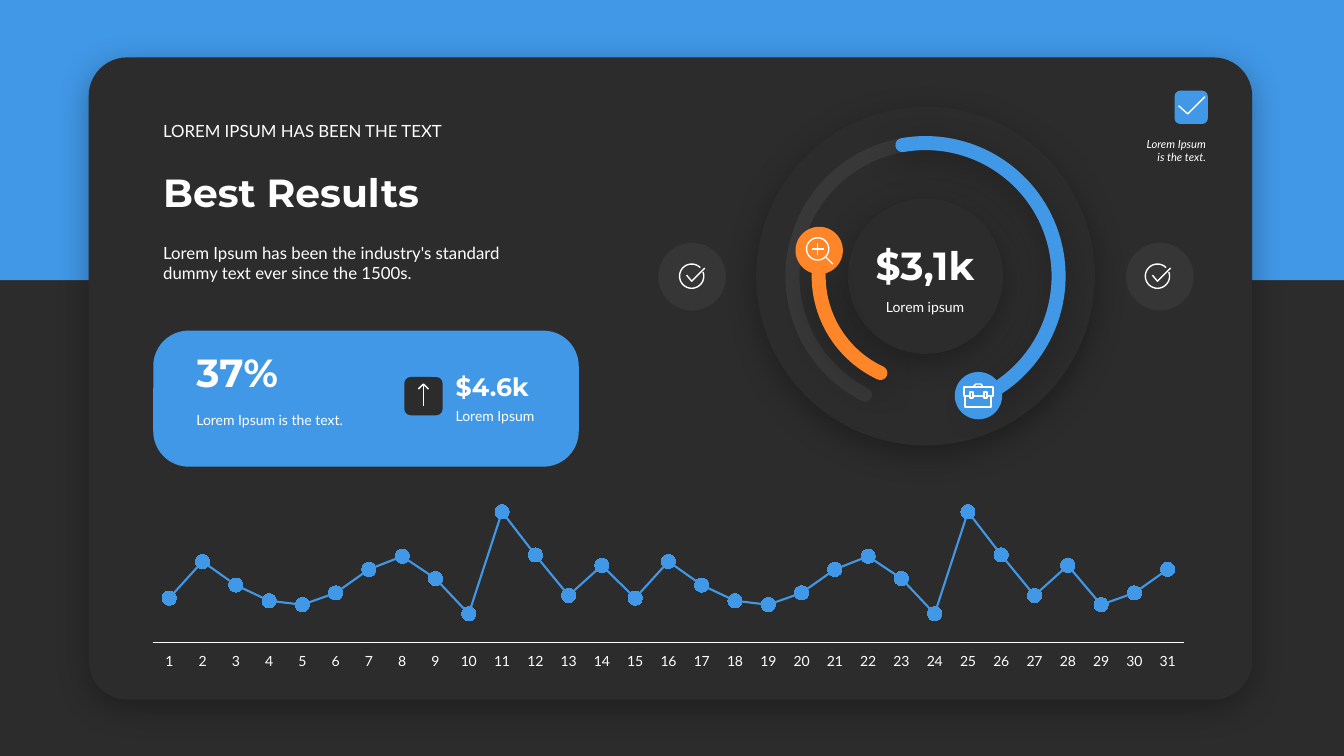
"""Build a dark KPI dashboard slide with a radial gauge and a daily line chart."""
from math import cos, radians, sin

from lxml.etree import SubElement
from pptx import Presentation
from pptx.chart.data import CategoryChartData
from pptx.dml.color import RGBColor as RGB
from pptx.enum.chart import XL_CHART_TYPE as CT, XL_MARKER_STYLE as MARK
from pptx.enum.chart import XL_TICK_LABEL_POSITION as LABELS, XL_TICK_MARK as TICK
from pptx.enum.shapes import MSO_SHAPE as SHAPE
from pptx.enum.text import MSO_ANCHOR as ANCHOR, PP_ALIGN as ALIGN
from pptx.oxml.ns import qn
from pptx.util import Inches, Pt

THEME = {
    "dark": "2C2C2C", "blue": "4198E7", "orange": "FF8529", "white": "FFFFFF", "black": "000000",
    "body": "Lato", "head": "Montserrat",
    "big": 28, "mid": 18, "text": 12, "small": 10, "tiny": 8,
    "arc": 10, "stroke": 1, "axis": 0.75, "series": 1.5, "marker": 10,
}

PANELS = [
    (SHAPE.RECTANGLE, (0, 0, 13.33, 2.78), "blue", {}),
    (SHAPE.ROUNDED_RECTANGLE, (0.88, 0.57, 11.54, 6.37), "dark", {"radius": 0.06, "shadow": True}),
    (SHAPE.ROUNDED_RECTANGLE, (1.52, 3.28, 4.22, 1.35), "blue", {"radius": 0.26}),
    (SHAPE.ROUNDED_RECTANGLE, (4.01, 3.74, 0.38, 0.38), "dark", {}),
    (SHAPE.ROUNDED_RECTANGLE, (11.65, 0.9, 0.33, 0.33), "blue", {}),
    (SHAPE.OVAL, (6.53, 2.41, 0.67, 0.67), "white", {"alpha": 5}),
    (SHAPE.OVAL, (11.17, 2.41, 0.67, 0.67), "white", {"alpha": 5}),
]

GAUGE_CENTER = (9.18, 2.74)
GAUGE = [
    ("disc", 1.68, "dark", None),
    ("track", 1.32, "white", (117, 66)),
    ("hub", 0.77, "dark", None),
    ("main", 1.32, "blue", (260, 66)),
    ("inner", 1.06, "orange", (115, 181)),
]
BADGES = [((9.47, 3.69, 0.47, 0.47), "blue"), ((7.89, 2.25, 0.47, 0.47), "orange")]


def ring(cx, cy, r, start=0, end=360):
    """Return points along a clockwise arc."""
    return [(cx + r * cos(radians(a)), cy + r * sin(radians(a))) for a in range(start, end + 1, 5)]


def box_outline(x1, y1, x2, y2):
    """Return the closed outline of a rectangle."""
    return [(x1, y1), (x2, y1), (x2, y2), (x1, y2), (x1, y1)]


ICONS = {
    "done": [ring(0.13, 0.13, 0.12, -20, 315), [(0.08, 0.12), (0.13, 0.18), (0.26, 0.05)]],
    "tick": [[(0.01, 0.1), (0.1, 0.18), (0.27, 0.01)]],
    "up": [[(0.06, 0.01), (0.06, 0.23)], [(0.01, 0.06), (0.06, 0.01), (0.11, 0.06)]],
    "zoom": [ring(0.12, 0.12, 0.11), [(0.06, 0.12), (0.18, 0.12)], [(0.12, 0.06), (0.12, 0.18)],
             [(0.2, 0.2), (0.27, 0.27)]],
    "case": [[(0.06, 0.13), (0.01, 0.13), (0.01, 0.04), (0.3, 0.04), (0.3, 0.13), (0.25, 0.13)],
             [(0.11, 0.13), (0.2, 0.13)],
             [(0.02, 0.13), (0.02, 0.24), (0.28, 0.24), (0.28, 0.13)],
             [(0.1, 0.04), (0.13, 0.01), (0.18, 0.01), (0.2, 0.04)],
             box_outline(0.07, 0.09, 0.1, 0.15), box_outline(0.21, 0.09, 0.24, 0.15)],
}
ICON_SPOTS = [("done", 6.73, 2.61), ("done", 11.35, 2.61), ("case", 9.55, 3.8),
              ("tick", 11.68, 0.95), ("zoom", 7.99, 2.35), ("up", 4.14, 3.8)]

BODY = {"name": "body", "size": "small"}
LEAD = {"name": "body", "size": "text"}
HEAD = {"name": "head", "size": "big", "bold": True}
TEXTS = [
    ("LOREM IPSUM HAS BEEN THE TEXT", (1.52, 1.15, 3.68, 0.3), LEAD, "LEFT", "BOTTOM", 0.1),
    ("Best Results", (1.52, 1.62, 3.68, 0.57), HEAD, "LEFT", "BOTTOM", 0.1),
    ("Lorem Ipsum has been the industry's standard dummy text ever since the 1500s.",
     (1.52, 2.36, 3.68, 0.5), LEAD, "LEFT", "TOP", 0.1),
    ("$3,1k", (8.36, 2.34, 1.63, 0.57), HEAD, "CENTER", "BOTTOM", 0.08),
    ("Lorem ipsum", (8.36, 2.91, 1.63, 0.27), BODY, "CENTER", "TOP", 0.1),
    ("Lorem Ipsum is the text.", (11.24, 1.31, 0.82, 0.37),
     {"name": "body", "size": "tiny", "italic": True}, "RIGHT", "TOP", 0.1),
    ("37%", (1.85, 3.4, 1.88, 0.57), HEAD, "LEFT", "BOTTOM", 0.1),
    ("Lorem Ipsum is the text.", (1.85, 4.03, 1.84, 0.27), BODY, "LEFT", "TOP", 0.1),
    ("$4.6k", (4.52, 3.63, 1.04, 0.4), {**HEAD, "size": "mid"}, "LEFT", "BOTTOM", 0),
    ("Lorem Ipsum", (4.52, 3.99, 1.04, 0.27), BODY, "LEFT", "TOP", 0),
]

CHART_BOX = (1.3, 4.8, 10.66, 1.84)
PLOT_AREA = {"x": 0.02, "y": 0.01, "w": 0.96, "h": 0.85}
DAILY = [34, 62, 44, 32, 29, 38, 56, 66, 49, 22, 100, 67, 36, 59, 34, 62,
         44, 32, 29, 38, 56, 66, 49, 22, 100, 67, 36, 59, 29, 38, 56]


def color(name):
    return RGB.from_string(THEME[name])


def inches(values):
    return [Inches(v) for v in values]


def style_font(font, fmt):
    font.color.rgb = color("white")
    for key, value in fmt.items():
        setattr(font, key, Pt(THEME[value]) if key == "size" else THEME.get(value, value))


def set_alpha(part, percent):
    SubElement(next(part.iter(qn("a:srgbClr"))), qn("a:alpha"), val=str(percent * 1000))


def add_shadow(sp):
    effects = sp.element.spPr.find(qn("a:effectLst"))
    outer = SubElement(effects, qn("a:outerShdw"), blurRad=str(Pt(23)), dist=str(Pt(6)),
                       dir="5400000", algn="t", rotWithShape="0")
    set_alpha(SubElement(outer, qn("a:srgbClr"), val=THEME["black"]).getparent(), 30)


def add_panel(s, kind, box, fill, radius=None, alpha=None, shadow=False):
    sp = s.shapes.add_shape(kind, *inches(box))
    sp.shadow.inherit = False
    sp.fill.solid()
    sp.fill.fore_color.rgb = color(fill)
    sp.line.fill.background()
    if radius:
        sp.adjustments[0] = radius
    if alpha:
        set_alpha(sp.element.spPr, alpha)
    if shadow:
        add_shadow(sp)


def add_arc(s, box, line, angles, faint):
    sp = s.shapes.add_shape(SHAPE.ARC, *inches(box))
    sp.shadow.inherit = False
    sp.fill.background()
    sp.line.color.rgb = color(line)
    sp.line.width = Pt(THEME["arc"])
    sp.element.spPr.find(qn("a:ln")).set("cap", "rnd")
    for i, angle in enumerate(angles):
        sp.adjustments[i] = angle * 0.6
    if faint:
        set_alpha(sp.element.spPr, 5)
    else:
        add_shadow(sp)


def add_icon(s, strokes, left, top):
    placed = [[(Inches(left + x), Inches(top + y)) for x, y in stroke] for stroke in strokes]
    builder = s.shapes.build_freeform(*placed[0][0])
    for i, (start, *rest) in enumerate(placed):
        if i:
            builder.move_to(*start)
        builder.add_line_segments(rest, close=False)
    sp = builder.convert_to_shape()
    sp.shadow.inherit = False
    sp.fill.background()
    sp.line.color.rgb = color("white")
    sp.line.width = Pt(THEME["stroke"])


def add_text(s, text, box, fmt, align, anchor, inset):
    tf = s.shapes.add_textbox(*inches(box)).text_frame
    for key, value in {"word_wrap": True, "vertical_anchor": ANCHOR[anchor],
                       "margin_left": Inches(inset), "margin_right": Inches(inset)}.items():
        setattr(tf, key, value)
    p = tf.paragraphs[0]
    p.alignment = ALIGN[align]
    r = p.add_run()
    r.text = text
    style_font(r.font, fmt)


def add_daily_chart(s):
    data = CategoryChartData()
    data.categories = [str(day) for day in range(1, len(DAILY) + 1)]
    data.add_series("Series 1", DAILY)
    chart = s.shapes.add_chart(CT.LINE_MARKERS_STACKED, *inches(CHART_BOX), data).chart
    chart.has_legend = chart.has_title = False
    style_font(chart.font, BODY)
    cat, val = chart.category_axis, chart.value_axis
    cat.major_tick_mark = cat.minor_tick_mark = TICK.NONE
    cat.tick_label_position = LABELS.LOW
    cat.format.line.color.rgb = color("white")
    cat.format.line.width = Pt(THEME["axis"])
    style_font(cat.tick_labels.font, BODY)
    val.has_major_gridlines = val.visible = False
    val.minimum_scale, val.maximum_scale = 0, 120
    chart.plots[0].vary_by_categories = False
    series = chart.plots[0].series[0]
    series.smooth = False
    series.format.line.color.rgb = color("blue")
    series.format.line.width = Pt(THEME["series"])
    series.marker.style, series.marker.size = MARK.CIRCLE, THEME["marker"]
    series.marker.format.fill.solid()
    series.marker.format.fill.fore_color.rgb = color("blue")
    series.marker.format.line.color.rgb = color("blue")
    area = chart.element.chart.plotArea
    for old in area.findall(qn("c:layout")):
        area.remove(old)
    layout = SubElement(area, qn("c:layout"))
    area.insert(0, layout)
    manual = SubElement(layout, qn("c:manualLayout"))
    SubElement(manual, qn("c:layoutTarget"), val="inner")
    for key in "xy":
        SubElement(manual, qn(f"c:{key}Mode"), val="edge")
    for key, value in PLOT_AREA.items():
        SubElement(manual, qn(f"c:{key}"), val=str(value))


def main():
    prs = Presentation()
    prs.slide_width, prs.slide_height = Inches(13.33), Inches(7.5)
    s = prs.slides.add_slide(prs.slide_layouts[6])
    s.background.fill.solid()
    s.background.fill.fore_color.rgb = color("dark")
    for kind, box, fill, options in PANELS:
        add_panel(s, kind, box, fill, **options)
    cx, cy = GAUGE_CENTER
    for name, radius, tint, angles in GAUGE:
        box = (cx - radius, cy - radius, 2 * radius, 2 * radius)
        if angles:
            add_arc(s, box, tint, angles, name == "track")
        else:
            add_panel(s, SHAPE.OVAL, box, tint, shadow=True)
    for box, tint in BADGES:
        add_panel(s, SHAPE.OVAL, box, tint)
    for name, left, top in ICON_SPOTS:
        add_icon(s, ICONS[name], left, top)
    for item in TEXTS:
        add_text(s, *item)
    add_daily_chart(s)
    prs.save("out.pptx")


if __name__ == "__main__":
    main()
